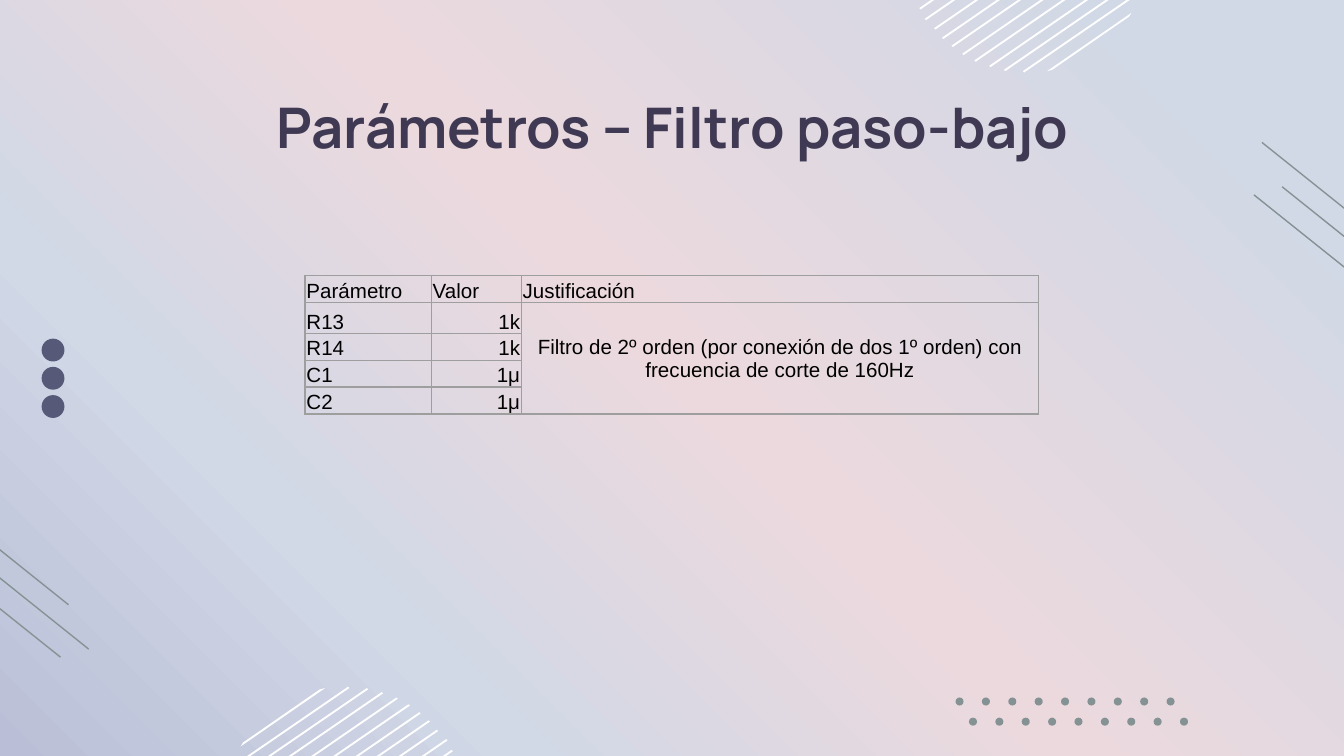
from lxml.etree import SubElement
from pptx import Presentation
from pptx.dml.color import RGBColor
from pptx.enum.shapes import MSO_CONNECTOR, MSO_SHAPE
from pptx.enum.text import MSO_ANCHOR, MSO_AUTO_SIZE, PP_ALIGN
from pptx.oxml import parse_xml
from pptx.oxml.ns import nsdecls, qn
from pptx.util import Inches, Pt

INK, PLUM, SAGE, WHITE, GRID = "403953", "575979", "859294", "FFFFFF", "9E9E9E"
GRADIENT = [(0, "D1D8E6"), (11, "D1D8E6"), (49, "ECD9DD"),
            (75, "D1D8E6"), (100, "BABFD7")]
STRIPES = [(0.13, 0.01, 0.63), (0.05, 0, 0.89), (0.02, 0.01, 1.06),
           (0, 0.04, 1.19), (0, 0.08, 1.3), (0.02, 0.13, 1.37),
           (0.04, 0.19, 1.43), (0.07, 0.25, 1.47), (0.11, 0.32, 1.49),
           (0.16, 0.39, 1.51), (0.21, 0.47, 1.5)]
STRIPE_SLOPE = 0.69
PARAMETERS = [("R13", "1k"), ("R14", "1k"), ("C1", "1μ"), ("C2", "1μ")]
REASON = ("Filtro de 2º orden (por conexión de dos 1º orden) "
          "con frecuencia de corte de 160Hz")


def rgb(color):
    return RGBColor.from_string(color)


def set_text(tf, text, size=11, font="Arial", color="000000", bold=False,
             align=PP_ALIGN.LEFT):
    p = tf.paragraphs[0]
    p.alignment = align
    r = p.add_run()
    r.text = text
    r.font.size, r.font.name, r.font.bold = Pt(size), font, bold
    r.font.color.rgb = rgb(color)


def paint(sp, color):
    sp.shadow.inherit = False
    sp.fill.solid()
    sp.fill.fore_color.rgb = rgb(color)
    sp.line.fill.background()


def add_background(s):
    stops = "".join(f'<a:gs pos="{pos * 1000}"><a:srgbClr val="{color}"/></a:gs>'
                    for pos, color in GRADIENT)
    s.background.fill.gradient()
    grad = s.background._cSld.bg.bgPr.find(qn("a:gradFill"))
    grad.getparent().replace(grad, parse_xml(
        f'<a:gradFill {nsdecls("a")} rotWithShape="1"><a:gsLst>{stops}</a:gsLst>'
        '<a:lin ang="8100000" scaled="0"/></a:gradFill>'))


def add_striped_circle(s, x, y, w, h, turned=False):
    def place(dx, dy):
        if turned:
            dx, dy = w - dx, h - dy
        return Inches(x + dx), Inches(y + dy)

    for i, (left, top, width) in enumerate(STRIPES):
        right, bottom = left + width, top + width * STRIPE_SLOPE
        corners = [place(right - 0.01, top), place(left, bottom - 0.01),
                   place(left + 0.01, bottom), place(right, top + 0.01)]
        if i == 0:
            corners = [place(right, top), place(right - 0.04, top + 0.01),
                       place(left + 0.02, bottom - 0.03), place(left, bottom)]
        fb = s.shapes.build_freeform(*corners[0], scale=1.0)
        fb.add_line_segments(corners[1:], close=True)
        paint(fb.convert_to_shape(), WHITE)


def add_dot_row(s, x, y, size, count, dx, dy, color):
    for i in range(count):
        sp = s.shapes.add_shape(MSO_SHAPE.OVAL, Inches(x + i * dx),
                                Inches(y + i * dy), Inches(size), Inches(size))
        paint(sp, color)


def add_diagonals(s, x, y):
    for dx, dy in [(0.21, 0.33), (0, 0.39), (0.06, 0)]:
        left, top = x + dx, y + dy
        line = s.shapes.add_connector(
            MSO_CONNECTOR.STRAIGHT, Inches(left), Inches(top),
            Inches(left + 0.8), Inches(top + 0.64))
        line.line.color.rgb = rgb(SAGE)
        line.line.width = Pt(0.75)
        SubElement(line._element.spPr, qn("a:effectLst"))


def add_title(s, x, y, w, h):
    sp = s.shapes.title
    sp.left, sp.top, sp.width, sp.height = map(Inches, (x, y, w, h))
    tf = sp.text_frame
    tf.word_wrap = True
    tf.auto_size = MSO_AUTO_SIZE.NONE
    tf.vertical_anchor = MSO_ANCHOR.TOP
    tf.margin_left = tf.margin_right = Inches(0.1)
    tf.margin_top = tf.margin_bottom = Inches(0.1)
    set_text(tf, "Parámetros – Filtro paso-bajo", size=30, font="Manrope",
             color=INK, bold=True, align=PP_ALIGN.CENTER)


def format_cell(cell):
    cell.margin_left = cell.margin_right = cell.margin_top = Inches(0.01)
    cell.margin_bottom = 0
    cell.vertical_anchor = MSO_ANCHOR.BOTTOM
    tcPr = cell._tc.get_or_add_tcPr()
    for side in ("lnL", "lnR", "lnT", "lnB"):
        tcPr.append(parse_xml(
            f'<a:{side} {nsdecls("a")} w="{Pt(0.75)}"><a:solidFill>'
            f'<a:srgbClr val="{GRID}"/></a:solidFill></a:{side}>'))
    cell.fill.background()


def add_parameter_table(s, x, y, w, h):
    table = s.shapes.add_table(len(PARAMETERS) + 1, 3, Inches(x), Inches(y),
                               Inches(w), Inches(h)).table
    table.first_row = table.horz_banding = False
    for column, width in zip(table.columns, (0.94, 0.67, w - 1.61)):
        column.width = Inches(width)
    for i, row in enumerate(table.rows):
        row.height = Inches(0.23 if i == 1 else 0.2)
        for cell in row.cells:
            format_cell(cell)
    for i, text in enumerate(("Parámetro", "Valor", "Justificación")):
        set_text(table.cell(0, i).text_frame, text)
    for i, (name, value) in enumerate(PARAMETERS, 1):
        set_text(table.cell(i, 0).text_frame, name)
        set_text(table.cell(i, 1).text_frame, value, align=PP_ALIGN.RIGHT)
    reason = table.cell(1, 2)
    reason.merge(table.cell(len(PARAMETERS), 2))
    reason.vertical_anchor = MSO_ANCHOR.MIDDLE
    set_text(reason.text_frame, REASON, align=PP_ALIGN.CENTER)


def main():
    prs = Presentation()
    prs.slide_width = Inches(10)
    prs.slide_height = prs.slide_width * 9 // 16
    s = prs.slides.add_slide(prs.slide_layouts[5])
    add_background(s)
    add_striped_circle(s, 1.66, 5.11, 1.71, 1.5)
    add_dot_row(s, 0.31, 2.52, 0.17, 3, 0, 0.21, PLUM)
    add_diagonals(s, -0.35, 3.86)
    for x, y in [(7.11, 5.19), (7.21, 5.34)]:
        add_dot_row(s, x, y, 0.06, 9, 1.57 / 8, 0, SAGE)
    add_diagonals(s, 9.33, 1.06)
    add_striped_circle(s, 6.84, -0.96, 1.71, 1.5, turned=True)
    add_title(s, 0.79, 0.59, 8.43, 0.52)
    add_parameter_table(s, 2.27, 2.05, 5.46, 1.03)
    prs.save("out.pptx")


if __name__ == "__main__":
    main()
